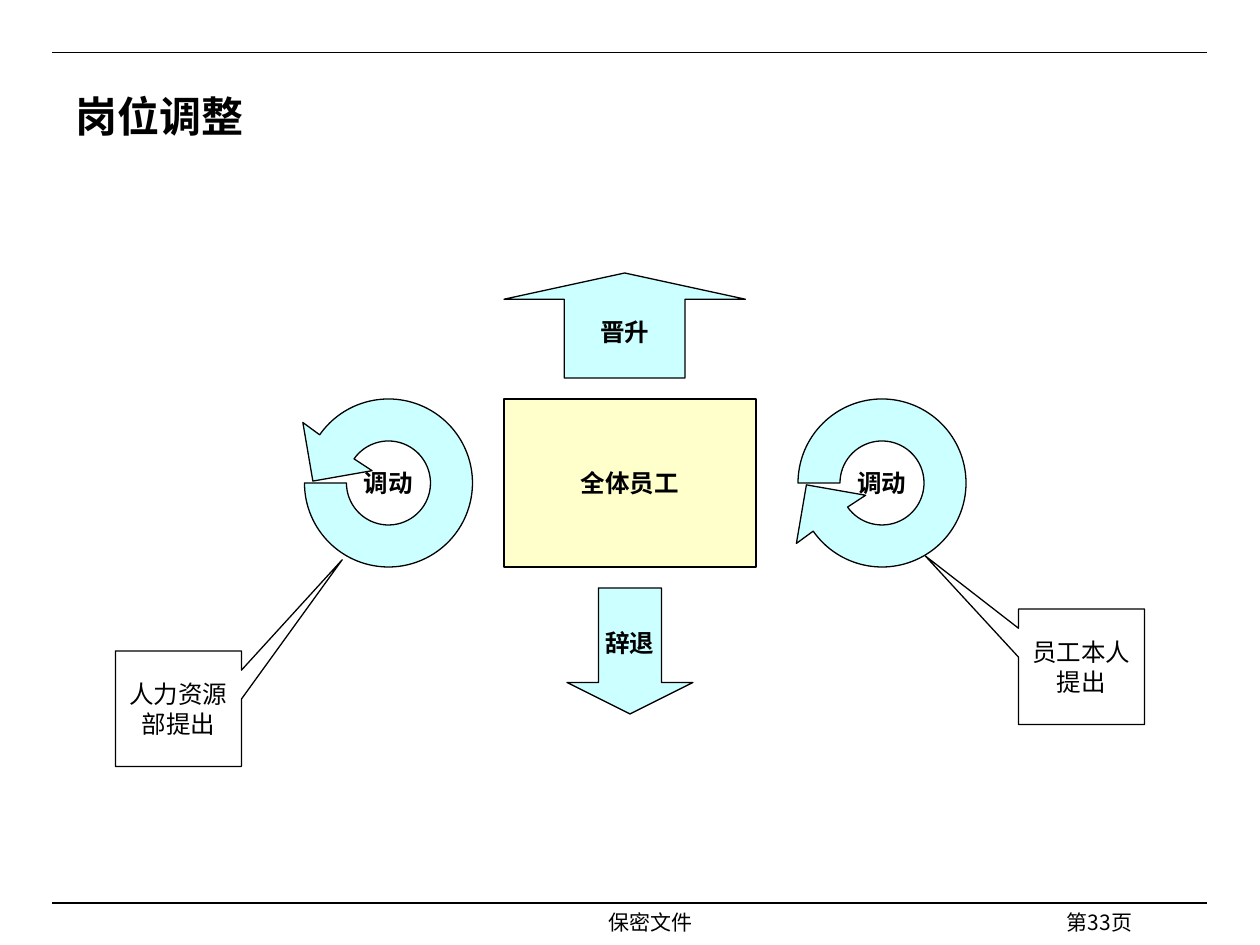
from dataclasses import dataclass
from math import cos, radians, sin, tan

from lxml.etree import SubElement
from pptx import Presentation
from pptx.dml.color import RGBColor
from pptx.enum.shapes import MSO_CONNECTOR, MSO_SHAPE as Shape
from pptx.enum.text import MSO_ANCHOR as Anchor, PP_ALIGN as Align
from pptx.oxml.ns import qn
from pptx.util import Inches, Pt


@dataclass(frozen=True)
class Theme:
    ink = RGBColor(0, 0, 0)
    arrow = RGBColor(0xCC, 0xFF, 0xFF)
    staff = RGBColor(0xFF, 0xFF, 0xCC)
    line = Pt(0.75)
    title = Pt(24)
    body = Pt(14)
    footer = Pt(12)
    font = "Times New Roman"
    footer_font = "Noto Sans CJK SC"


theme = Theme()
U = Inches(1) // 12  # the slide is laid out on a grid of twelfths of an inch


def write(sp, text, size=theme.body, font=theme.font, bold=True,
          align=Align.CENTER, anchor=Anchor.MIDDLE, wrap=False):
    tf = sp.text_frame
    tf.text = text
    tf.word_wrap = wrap
    tf.vertical_anchor = anchor
    p = tf.paragraphs[0]
    p.alignment = align
    f = p.runs[0].font
    f.size, f.name, f.bold = size, font, bold
    f.color.rgb = theme.ink


def paint(sp, fill=None):
    """Outline the shape and fill it, or leave it open when fill is None."""
    sp.shadow.inherit = False
    sp.line.color.rgb = theme.ink
    sp.line.width = theme.line
    if fill is None:
        sp.fill.background()
    else:
        sp.fill.solid()
        sp.fill.fore_color.rgb = fill


prs = Presentation()
prs.slide_width, prs.slide_height = Inches(10), Inches(7.5)
s = prs.slides.add_slide(prs.slide_layouts[6])

# Header and footer rules
for y in (5, 86):
    rule = s.shapes.add_connector(MSO_CONNECTOR.STRAIGHT, 5 * U, y * U, 115 * U, y * U)
    rule.line.color.rgb = theme.ink
    rule.line.width = theme.line
    SubElement(rule._element.spPr, qn("a:effectLst"))

# Footer texts and title
for text, x, w, h, align in (("保密文件", 35, 54, 3, Align.CENTER),
                             ("第33页", 84, 25, 2, Align.RIGHT)):
    tb = s.shapes.add_textbox(x * U, 86 * U, w * U, h * U)
    write(tb, text, theme.footer, theme.footer_font, False, align, Anchor.TOP, True)
title = s.shapes.add_textbox(6 * U, 7 * U, 107 * U, 8 * U)
write(title, "岗位调整", theme.title, align=Align.LEFT, wrap=True)

# Staff box with the arrows above and below
for kind, text, fill, x, y, w, h in (
        (Shape.UP_ARROW, "晋升", theme.arrow, 48, 26, 23, 10),
        (Shape.DOWN_ARROW, "辞退", theme.arrow, 54, 56, 12, 12),
        (Shape.RECTANGLE, "全体员工", theme.staff, 48, 38, 24, 16)):
    sp = s.shapes.add_shape(kind, x * U, y * U, w * U, h * U)
    if kind != Shape.RECTANGLE:
        sp.adjustments[0], sp.adjustments[1] = 0.5, 0.25
    paint(sp, fill)
    write(sp, text)

# Circular transfer arrows: inner arc, outer arc back, then the head.
# Points are in grid units from the centre of the ring.
RADIUS, TOP, TAIL, NECK, ARCS = 8, 38, -180, 145, 4
start = (4 * cos(radians(NECK)), 4 * sin(radians(NECK)))
steps = [("a:moveTo", [start])]
for r, first, last in ((4, NECK, TAIL), (RADIUS, TAIL, NECK)):
    step = radians(last - first) / ARCS
    k = 4 / 3 * tan(step / 4)
    if r == RADIUS:
        steps.append(("a:lnTo", [(-RADIUS, 0)]))
    for i in range(ARCS):
        a = radians(first) + i * step
        b = a + step
        steps.append(("a:cubicBezTo", [
            (r * (cos(a) - k * sin(a)), r * (sin(a) + k * cos(a))),
            (r * (cos(b) + k * sin(b)), r * (sin(b) - k * cos(b))),
            (r * cos(b), r * sin(b))]))
steps += [("a:lnTo", [pt]) for pt in ((-8.16, 5.76), (-7.2, 0.18), (-1.56, 1.17))]
steps.append(("a:close", []))

for left, flip in ((76, 1), (29, -1)):
    x, y, side = left * U, TOP * U, 2 * RADIUS * U
    builder = s.shapes.build_freeform(x, y)
    builder.add_line_segments([(x + side, y), (x + side, y + side)])
    sp = builder.convert_to_shape()
    outline = sp._element.spPr.find(".//" + qn("a:path"))
    for node in list(outline):
        outline.remove(node)
    for tag, points in steps:
        node = SubElement(outline, qn(tag))
        for px, py in points:
            SubElement(node, qn("a:pt"), x=str(round((RADIUS + px) * U)),
                       y=str(round((RADIUS + flip * py) * U)))
    paint(sp, theme.arrow)
    write(sp, "调动")

# Callouts naming who asks for the transfer
for text, x, y, tip in (("人力资源部提出", 11, 62, (1.3, -1.29)),
                        ("员工本人提出", 97, 58, (-1.24, -0.96))):
    sp = s.shapes.add_shape(Shape.RECTANGULAR_CALLOUT, x * U, y * U, 12 * U, 11 * U)
    sp.adjustments[0], sp.adjustments[1] = tip
    paint(sp)
    write(sp, text, bold=False, wrap=True)

prs.save("out.pptx")
